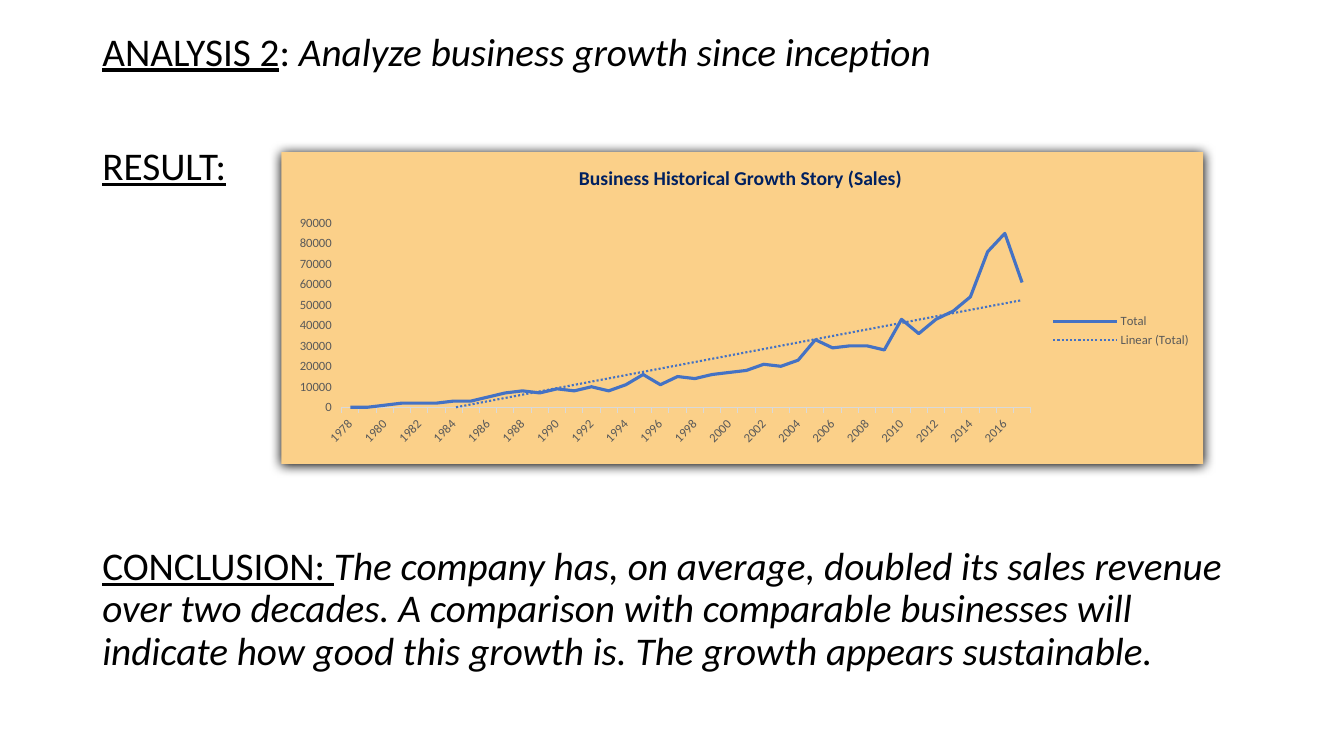
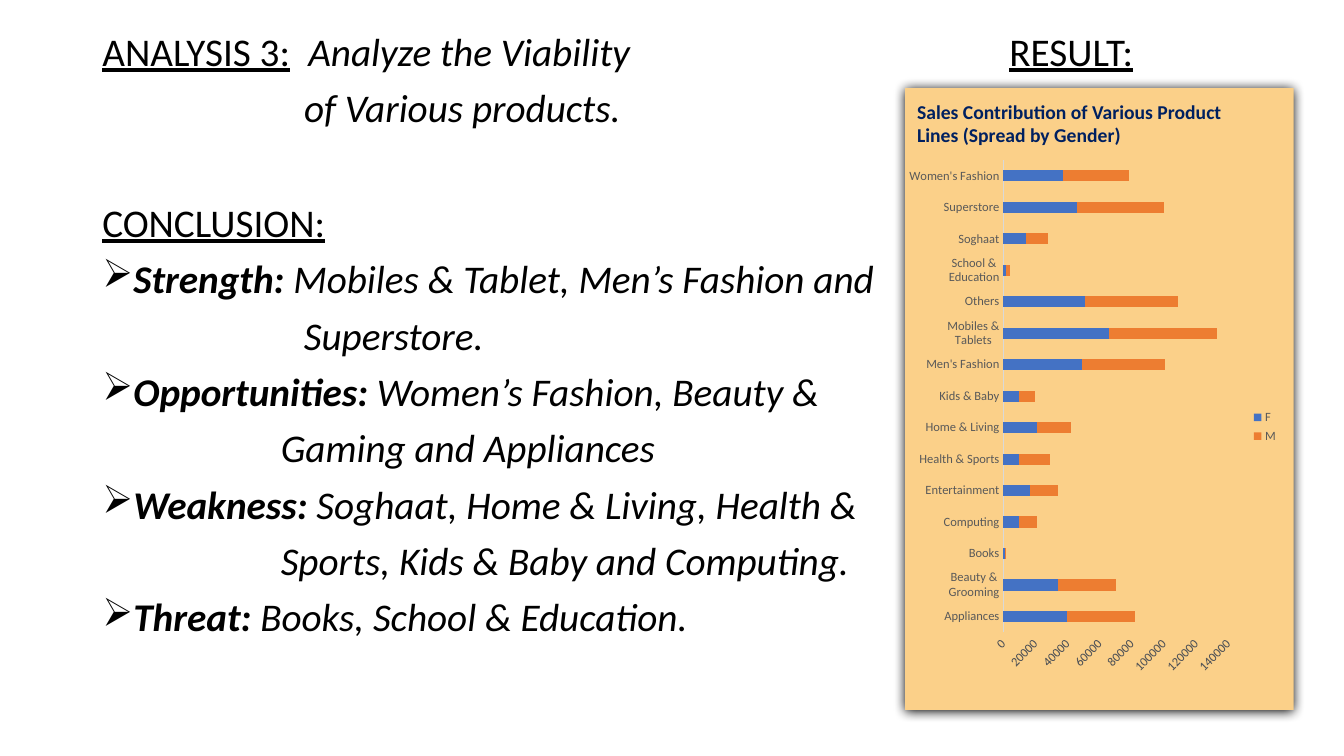
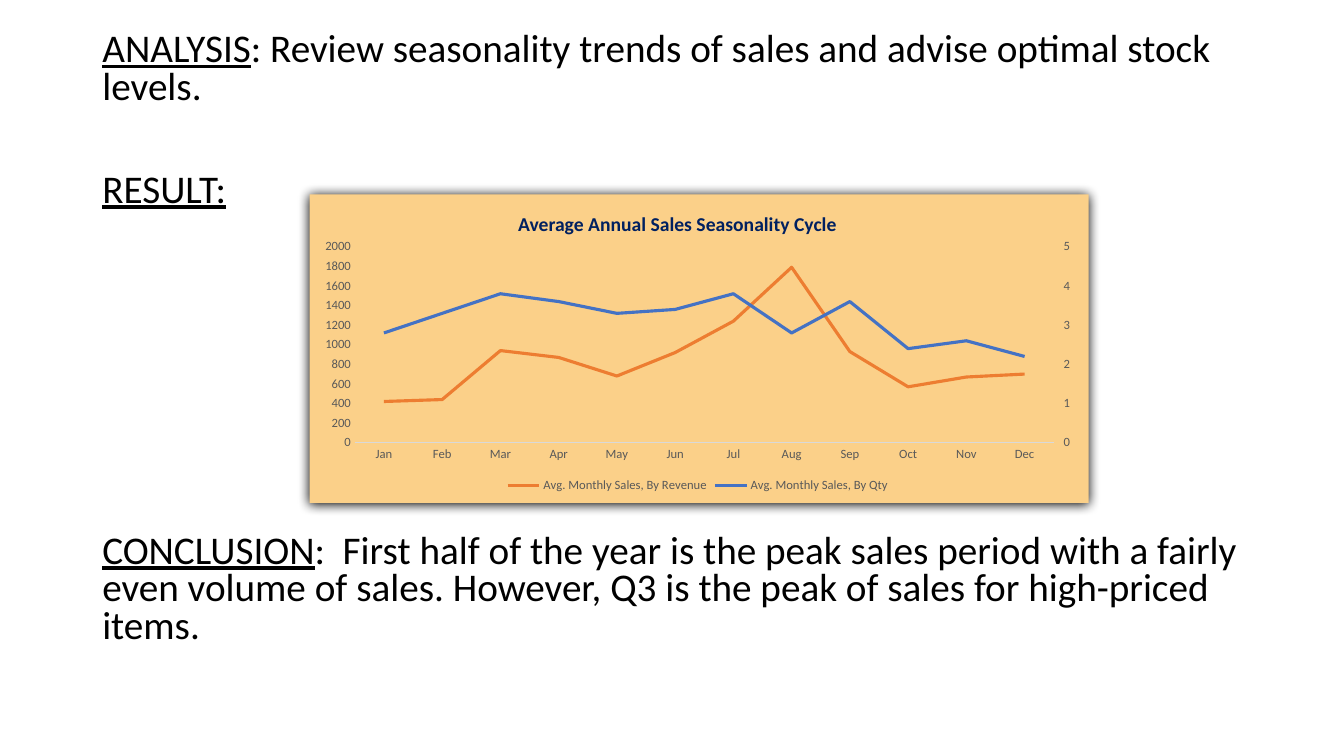
from copy import deepcopy

from lxml import etree
from pptx import Presentation
from pptx.chart.data import CategoryChartData
from pptx.dml.color import RGBColor
from pptx.enum.chart import XL_CHART_TYPE, XL_LEGEND_POSITION, XL_TICK_MARK
from pptx.enum.shapes import MSO_SHAPE
from pptx.enum.text import MSO_ANCHOR, MSO_AUTO_SIZE, PP_ALIGN
from pptx.oxml import parse_xml
from pptx.oxml.ns import nsdecls, qn
from pptx.util import Pt

LINE, BAR = XL_CHART_TYPE.LINE, XL_CHART_TYPE.BAR_STACKED
RIGHT, BOTTOM = XL_LEGEND_POSITION.RIGHT, XL_LEGEND_POSITION.BOTTOM
OUT, NONE = XL_TICK_MARK.OUTSIDE, XL_TICK_MARK.NONE
RECT, TOP, LEFT = MSO_SHAPE.RECTANGLE, MSO_ANCHOR.TOP, PP_ALIGN.LEFT
FIXED = MSO_AUTO_SIZE.NONE

PX = 9525
FONT = "Calibri"
BLACK, NAVY, GRAY, PALE = "000000", "002060", "595959", "D9D9D9"
SAND, BLUE, ORANGE = "FBD089", "4472C4", "ED7D31"
MARGIN, HEAD, WIDE = 88, 26, 1104


def rgb(code):
    return RGBColor.from_string(code)


def px(*sizes):
    return [n * PX for n in sizes]


def inside(box, part):
    """Shift a part by the corner of its box."""
    return box[0] + part[0], box[1] + part[1], part[2], part[3]


def font(target, size, color, bold=None):
    target.name, target.size, target.bold = FONT, Pt(size), bold
    target.color.rgb = rgb(color)


# Text

def write(frame, rows, space):
    """Each row: runs of (text, style letters), then paragraph options."""
    frame.word_wrap, frame.auto_size = True, FIXED
    frame.vertical_anchor = TOP
    for n, (runs, opts) in enumerate(rows):
        para = frame.add_paragraph() if n else frame.paragraphs[0]
        para.alignment, para.line_spacing = LEFT, space
        para.space_before = Pt(10)
        for text, style in runs:
            run = para.add_run()
            run.text = text
            font(run.font, 28, BLACK, "b" in style)
            run.font.italic = "i" in style
            run.font.underline = "u" in style
        props = para._p.get_or_add_pPr()
        if "left" in opts:
            props.set("marL", str(opts["left"] * PX))
            props.set("indent", str(opts.get("hang", 0) * -PX))
        if "mark" in opts:
            etree.SubElement(props, qn("a:buChar")).set("char", opts["mark"])
        if "tab" in opts:
            stops = etree.SubElement(props, qn("a:tabLst"))
            stop = etree.SubElement(stops, qn("a:tab"))
            stop.set("pos", str(opts["tab"] * PX))
            stop.set("algn", "l")


def heading(slide, box, rows, space):
    title = slide.shapes.title
    title.left, title.top, title.width, title.height = px(*box)
    write(title.text_frame, rows, space)


def note(slide, box, rows, space):
    write(slide.shapes.add_textbox(*px(*box)).text_frame, rows, space)


# Chart panel

def panel(slide, box, text, part):
    """Sand card with a soft shadow and a caption."""
    card = slide.shapes.add_shape(RECT, *px(*box))
    card.shadow.inherit = False
    card.fill.solid()
    card.fill.fore_color.rgb = rgb(SAND)
    card.line.fill.background()
    card._element.spPr.find(qn("a:effectLst")).append(parse_xml(
        f'<a:outerShdw {nsdecls("a")} blurRad="107950" dist="12700" '
        f'dir="5400000" algn="ctr" rotWithShape="0">'
        f'<a:srgbClr val="{BLACK}"/></a:outerShdw>'))
    frame = slide.shapes.add_textbox(*px(*inside(box, part))).text_frame
    frame.word_wrap = True
    frame.text = text
    font(frame.paragraphs[0].runs[0].font, 14, NAVY, True)


def axis_style(axis, tick, tilt=False):
    axis.has_major_gridlines = False
    axis.major_tick_mark, axis.minor_tick_mark = tick, NONE
    font(axis.tick_labels.font, 9, GRAY)
    if tilt:
        body = axis._element.find(qn("c:txPr")).find(qn("a:bodyPr"))
        body.set("rot", "-2700000")
        body.set("vert", "horz")


def graph(slide, box, kind, cats, series, top, step, legend,
          tick=NONE, tilt=""):
    """Chart with series of (name, values, colour)."""
    data = CategoryChartData()
    data.categories = cats
    for name, vals, _ in series:
        data.add_series(name, vals)
    chart = slide.shapes.add_chart(kind, *px(*box), data).chart
    chart.has_title = False
    font(chart.font, 10, BLACK)
    chart.has_legend = True
    chart.legend.position = legend
    chart.legend.include_in_layout = False
    font(chart.legend.font, 9, GRAY)

    cat, val = chart.category_axis, chart.value_axis
    axis_style(cat, tick, "c" in tilt)
    cat.format.line.color.rgb = rgb(PALE)
    cat.format.line.width = Pt(0.75)
    axis_style(val, tick, "v" in tilt)
    val.format.line.fill.background()
    val.minimum_scale, val.maximum_scale, val.major_unit = 0, top, step
    val.tick_labels.number_format = "0"
    val.tick_labels.number_format_is_linked = False

    plot = chart.plots[0]
    plot.vary_by_categories = False
    for item, (_, _, color) in zip(plot.series, series):
        if kind == LINE:
            item.smooth = False
            item.format.line.color.rgb = rgb(color)
            item.format.line.width = Pt(2.25)
        else:
            item.format.fill.solid()
            item.format.fill.fore_color.rgb = rgb(color)
    return chart


def trend(item, color):
    """Dotted linear trend line."""
    item._element.find(qn("c:cat")).addprevious(parse_xml(
        f'<c:trendline {nsdecls("c", "a")}><c:spPr><a:ln w="19050">'
        f'<a:solidFill><a:srgbClr val="{color}"/></a:solidFill>'
        f'<a:prstDash val="sysDot"/></a:ln></c:spPr>'
        f'<c:trendlineType val="linear"/><c:dispRSqr val="0"/>'
        f'<c:dispEq val="0"/></c:trendline>'))


def place(chart, spots):
    """Fix the inner plot area by fractions of the chart."""
    area = chart._chartSpace.chart.plotArea
    for old in area.findall(qn("c:layout")):
        area.remove(old)
    parts = "".join(f'<c:{k} val="{v}"/>' for k, v in zip("xywh", spots))
    area.insert(0, parse_xml(
        f'<c:layout {nsdecls("c")}><c:manualLayout>'
        f'<c:layoutTarget val="inner"/><c:xMode val="edge"/>'
        f'<c:yMode val="edge"/>{parts}</c:manualLayout></c:layout>'))


def split(chart, top, step):
    """Move the last series to an axis on the right."""
    area = chart._chartSpace.chart.plotArea
    first = area.find(qn("c:lineChart"))
    other = deepcopy(first)
    first.remove(first.findall(qn("c:ser"))[-1])
    other.remove(other.find(qn("c:ser")))
    first.addnext(other)
    cat, val = area.find(qn("c:catAx")), area.find(qn("c:valAx"))
    side, base = deepcopy(val), deepcopy(cat)
    val.addnext(side)
    side.addnext(base)
    for node, code in zip(other.findall(qn("c:axId")), ("5001", "5002")):
        node.set("val", code)

    def put(axis, **vals):
        for tag, value in vals.items():
            next(axis.iter(qn("c:" + tag))).set("val", str(value))

    put(base, axId=5001, crossAx=5002, delete=1)
    put(side, axId=5002, crossAx=5001, axPos="r", crosses="max",
        max=top, majorUnit=step, majorTickMark="out")


# Slides

RESULT = [([("RESULT:\t", "u")], {"tab": 152})]


def growth(slide):
    heading(slide, (MARGIN, HEAD, WIDE, 50), [
        ([("ANALYSIS 2", "u"), (": ", ""),
          ("Analyze business growth since inception", "i")], {})], 0.9)
    note(slide, (MARGIN, 135, 176, 50), RESULT, 0.9)
    box = (268, 145, 878, 297)
    panel(slide, box, "Business Historical Growth Story (Sales)",
          (274, 8, 363, 40))
    sales = [0, 0, 1, 2, 2, 2, 3, 3, 5, 7, 8, 7, 9, 8, 10, 8, 11, 16, 11, 15,
             14, 16, 17, 18, 21, 20, 23, 33, 29, 30, 30, 28, 43, 36, 43, 47,
             54, 76, 85, 61]
    chart = graph(slide, inside(box, (0, 56, 876, 228)), LINE,
                  [str(year) for year in range(1978, 2018)],
                  [("Total", [n * 1000 for n in sales], BLUE)],
                  90000, 10000, RIGHT, OUT, "c")
    trend(chart.plots[0].series[0], BLUE)
    note(slide, (MARGIN, 516, WIDE, 135), [
        ([("CONCLUSION: ", "u"),
          ("The company has, on average, doubled its sales revenue over two "
           "decades. A comparison with comparable businesses will indicate "
           "how good this growth is. The growth appears sustainable.",
           "i")], {})], 0.9)


def products(slide):
    heading(slide, (MARGIN, HEAD, 640, 104), [
        ([("ANALYSIS 3:\t", "u"), ("Analyze the Viability", "i")],
         {"tab": 196}),
        ([("of Various products.", "i")], {"left": 192})], 0.9)
    note(slide, (952, HEAD, 160, 50), [([("RESULT:", "u")], {})], 0.9)

    # Findings: label, first line, second line and its indent
    rows = [([("CONCLUSION:", "u")], {})]
    for label, text, more, left in [
            ("Strength: ", "Mobiles & Tablet, Men’s Fashion and",
             "Superstore.", 192),
            ("Opportunities: ", "Women’s Fashion, Beauty &",
             "Gaming and Appliances", 170),
            ("Weakness: ", "Soghaat, Home & Living, Health &",
             "Sports, Kids & Baby and Computing.", 170),
            ("Threat: ", "Books, School & Education.", "", 0)]:
        rows.append(([(label, "bi"), (text, "i")],
                     {"left": 24, "hang": 24, "mark": "➢"}))
        if more:
            rows.append(([(more, "i")], {"left": left}))
    note(slide, (MARGIN, 189, 768, 460), rows, 0.9)

    box = (862, 84, 370, 592)
    panel(slide, box, "Sales Contribution of Various Product Lines "
          "(Spread by Gender)", (2, 6, 349, 54))
    lines = [("Appliances", 40, 42), ("Beauty & Grooming", 34, 36),
             ("Books", 1, 1), ("Computing", 10, 11),
             ("Entertainment", 17, 17), ("Health & Sports", 10, 19),
             ("Home & Living", 21, 21), ("Kids & Baby", 10, 10),
             ("Men's Fashion", 49, 52), ("Mobiles & Tablets", 66, 67),
             ("Others", 51, 58), ("School & Education", 2, 2),
             ("Soghaat", 14, 14), ("Superstore", 46, 54),
             ("Women's Fashion", 37, 41)]
    names, women, men = zip(*lines)
    chart = graph(slide, inside(box, (4, 58, 361, 529)), BAR, names,
                  [("F", [n * 1000 for n in women], BLUE),
                   ("M", [n * 1000 for n in men], ORANGE)],
                  140000, 20000, RIGHT, tilt="v")
    chart.plots[0].gap_width, chart.plots[0].overlap = 182, 100
    place(chart, (0.24, 0.02, 0.6, 0.85))


def seasons(slide):
    heading(slide, (MARGIN, HEAD, WIDE, 84), [
        ([("ANALYSIS", "u"),
          (": Review seasonality trends of sales and advise optimal stock "
           "levels.", "")], {})], 0.8)
    note(slide, (MARGIN, 160, 176, 46), RESULT, 0.8)
    box = (295, 185, 742, 294)
    panel(slide, box, "Average Annual Sales Seasonality Cycle",
          (189, 12, 398, 40))
    months = "Jan Feb Mar Apr May Jun Jul Aug Sep Oct Nov Dec".split()
    chart = graph(slide, inside(box, (0, 38, 739, 250)), LINE, months, [
        ("Avg. Monthly Sales, By Revenue",
         [420, 440, 940, 870, 680, 920, 1240, 1790, 930, 570, 670, 700],
         ORANGE),
        ("Avg. Monthly Sales, By Qty",
         [2.8, 3.3, 3.8, 3.6, 3.3, 3.4, 3.8, 2.8, 3.6, 2.4, 2.6, 2.2],
         BLUE)], 2000, 200, BOTTOM)
    split(chart, 5, 1)
    note(slide, (MARGIN, 504, WIDE, 122), [
        ([("CONCLUSION", "u"),
          (":\tFirst half of the year is the peak sales period with a fairly "
           "even volume of sales. However, Q3 is the peak of sales for "
           "high-priced items.", "")], {"tab": 229})], 0.8)


def main():
    deck = Presentation()
    deck.slide_width, deck.slide_height = px(1280, 720)
    for build in (growth, products, seasons):
        build(deck.slides.add_slide(deck.slide_layouts[5]))
    deck.save("out.pptx")


if __name__ == "__main__":
    main()
